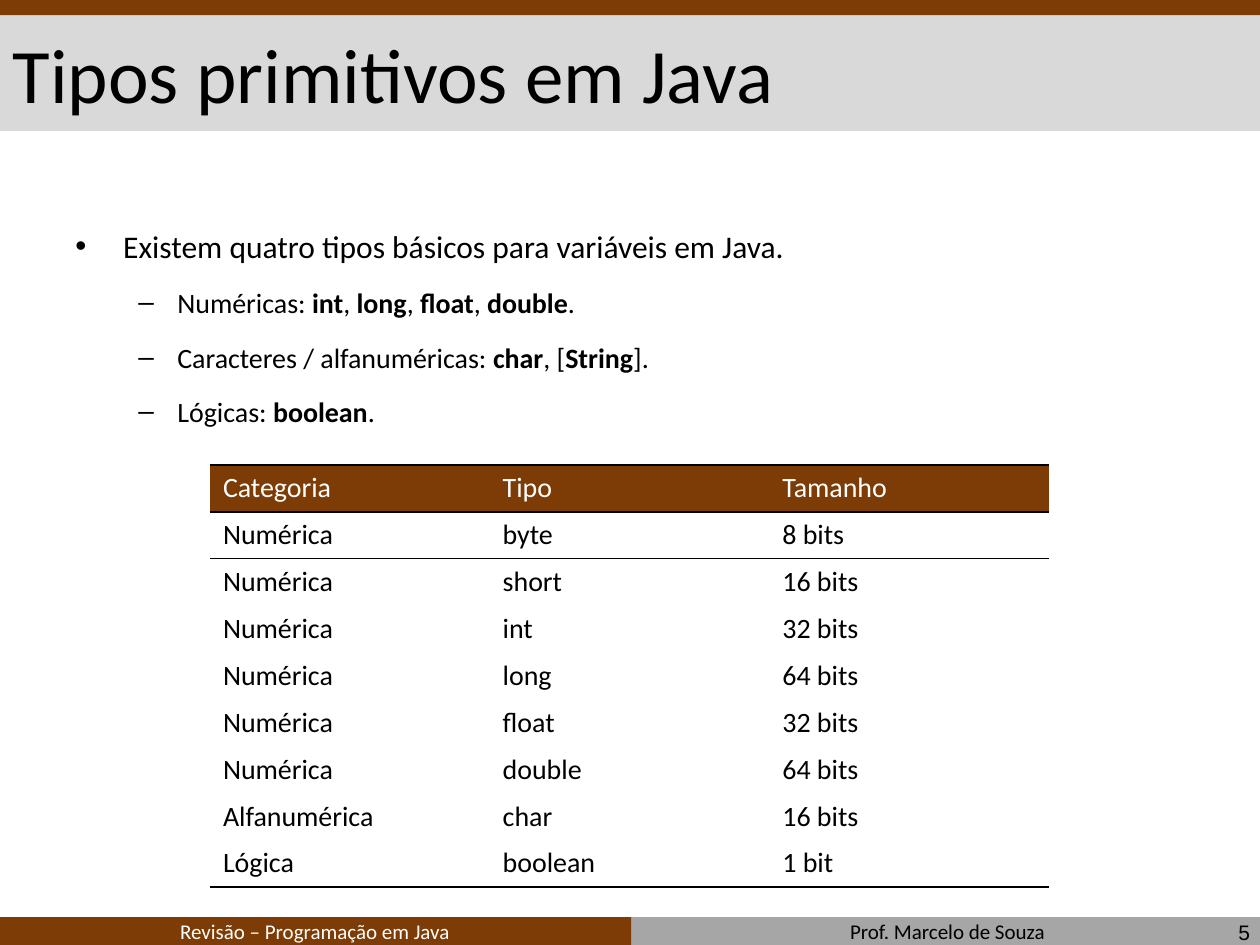
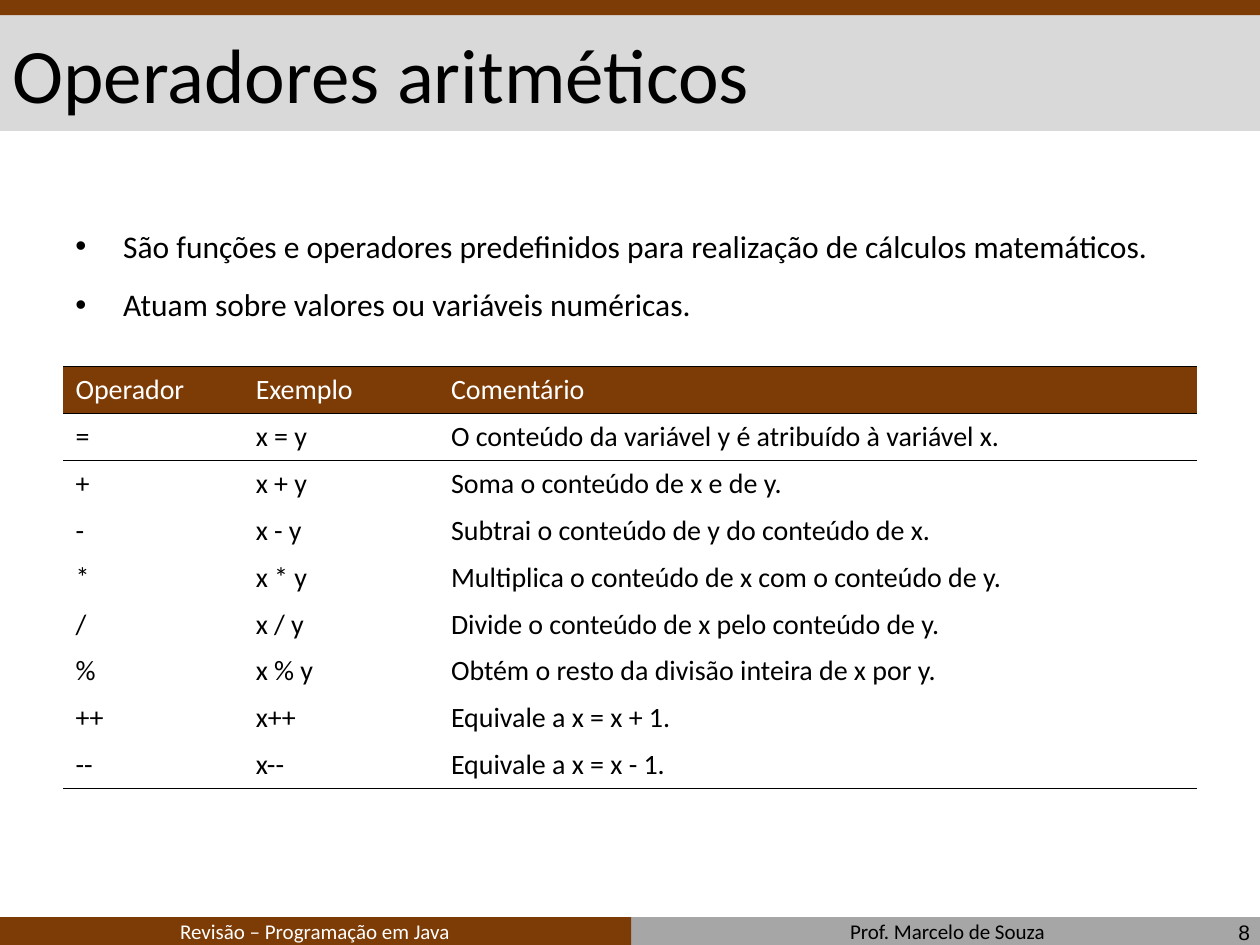
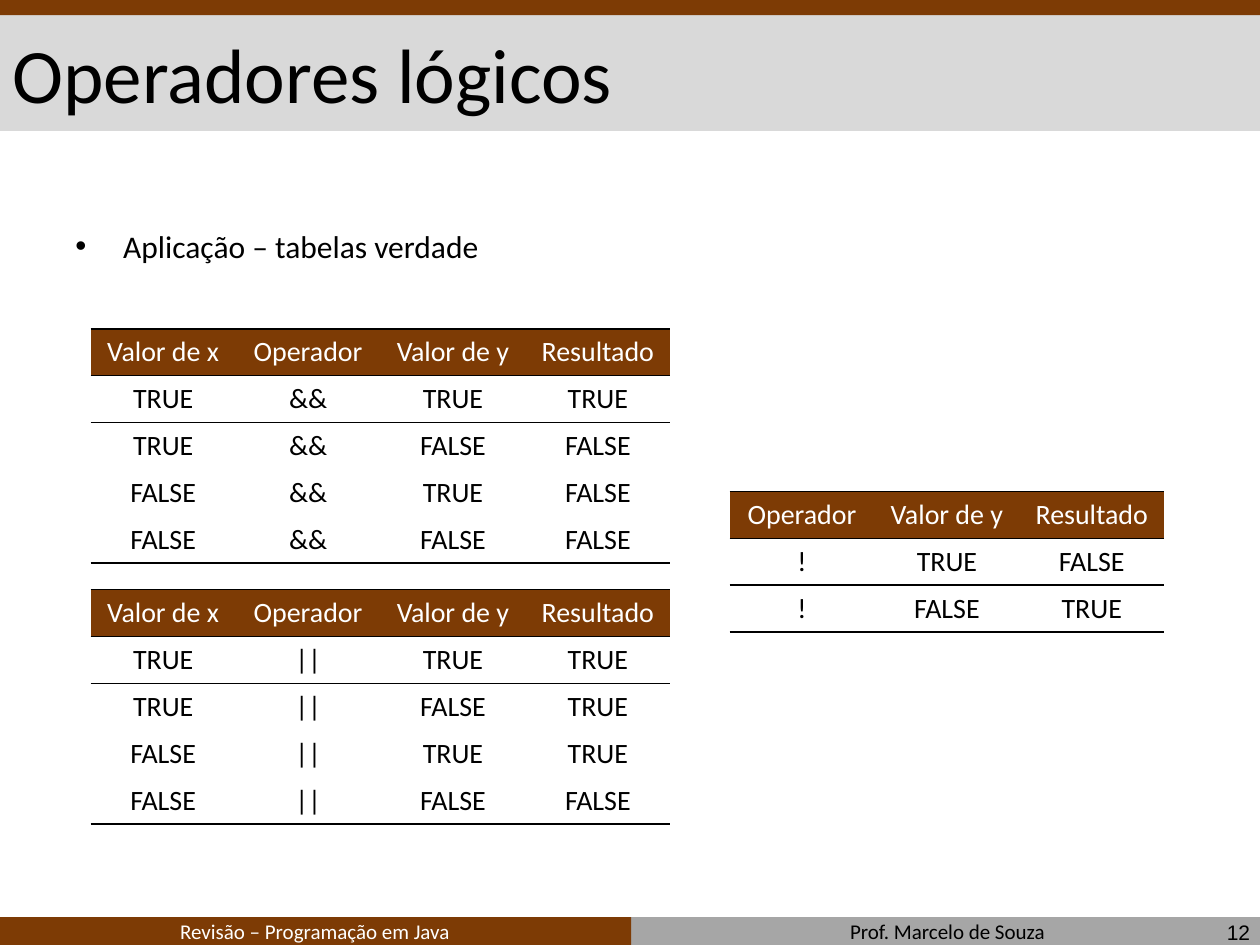
from lxml.etree import SubElement
from pptx import Presentation
from pptx.dml.color import RGBColor
from pptx.enum.shapes import MSO_SHAPE
from pptx.enum.text import MSO_ANCHOR, PP_ALIGN
from pptx.oxml.ns import qn
from pptx.util import Inches, Pt

BROWN = "7D3B05"
GRAY = "A6A6A6"
LIGHT_GRAY = "D9D9D9"
BLACK = "000000"
WHITE = "FFFFFF"
FONT = "Calibri"
ROW_HEIGHT = 0.37
NO_GRID_STYLE = "{2D5ABB26-0587-4C30-8999-92F81FD0307C}"

BANDS = [
    ((5, 7.28, 5.01, 0.24), GRAY),
    ((0, 7.28, 5.01, 0.24), BROWN),
    ((0, 0.11, 10, 0.93), LIGHT_GRAY),
    ((0, 0, 10.03, 0.12), BROWN),
]
TITLE_BOX = (0, 0.12, 10, 0.91)
BODY_BOX = (0.5, 1.75, 9, 5.25)

# Per bullet level: character, text size, left margin, hanging indent
BULLET_LEVELS = [("•", 18, 0.38, 0.38), ("–", 16, 0.81, 0.31)]

TYPE_ROWS = [
    ("Categoria", "Tipo", "Tamanho"),
    ("Numérica", "byte", "8 bits"),
    ("Numérica", "short", "16 bits"),
    ("Numérica", "int", "32 bits"),
    ("Numérica", "long", "64 bits"),
    ("Numérica", "float", "32 bits"),
    ("Numérica", "double", "64 bits"),
    ("Alfanumérica", "char", "16 bits"),
    ("Lógica", "boolean", "1 bit"),
]
ARITHMETIC_ROWS = [
    ("Operador", "Exemplo", "Comentário"),
    ("=", "x = y", "O conteúdo da variável y é atribuído à variável x."),
    ("+", "x + y", "Soma o conteúdo de x e de y."),
    ("-", "x - y", "Subtrai o conteúdo de y do conteúdo de x."),
    ("*", "x * y", "Multiplica o conteúdo de x com o conteúdo de y."),
    ("/", "x / y", "Divide o conteúdo de x pelo conteúdo de y."),
    ("%", "x % y", "Obtém o resto da divisão inteira de x por y."),
    ("++", "x++", "Equivale a x = x + 1."),
    ("--", "x--", "Equivale a x = x - 1."),
]
NOT_ROWS = [
    ("Operador", "Valor de y", "Resultado"),
    ("!", "TRUE", "FALSE"),
    ("!", "FALSE", "TRUE"),
]


def color(hex_string):
    return RGBColor.from_string(hex_string)


def inches(box):
    return [Inches(length) for length in box]


def format_runs(paragraph, size, hex_color, font_name=FONT):
    for run in paragraph.runs:
        run.font.size = Pt(size)
        run.font.name = font_name
        run.font.color.rgb = color(hex_color)


def add_band(slide, box, hex_color):
    band = slide.shapes.add_shape(MSO_SHAPE.RECTANGLE, *inches(box))
    band.shadow.inherit = False
    band.fill.solid()
    band.fill.fore_color.rgb = color(hex_color)
    band.line.fill.background()


def add_label(slide, box, text, hex_color, alignment, anchor, font_name=FONT):
    text_frame = slide.shapes.add_textbox(*inches(box)).text_frame
    text_frame.word_wrap = True
    text_frame.vertical_anchor = anchor
    text_frame.text = text
    paragraph = text_frame.paragraphs[0]
    paragraph.alignment = alignment
    format_runs(paragraph, 12, hex_color, font_name)


def add_footer(slide, number):
    add_label(slide, (5.01, 7.24, 5.02, 0.3), "Prof. Marcelo de Souza",
              BLACK, PP_ALIGN.CENTER, MSO_ANCHOR.BOTTOM)
    add_label(slide, (0, 7.24, 5, 0.3), "Revisão – Programação em Java",
              WHITE, PP_ALIGN.CENTER, MSO_ANCHOR.BOTTOM)
    add_label(slide, (7.69, 7.23, 2.33, 0.33), str(number),
              BLACK, PP_ALIGN.RIGHT, MSO_ANCHOR.MIDDLE, "Arial")


def set_title(slide, text):
    """Fill the title placeholder and bring it in front of the bands."""
    title = slide.shapes.title
    title.left, title.top, title.width, title.height = inches(TITLE_BOX)
    title.text_frame.text = text
    title.text_frame.vertical_anchor = MSO_ANCHOR.MIDDLE
    paragraph = title.text_frame.paragraphs[0]
    paragraph.alignment = PP_ALIGN.LEFT
    format_runs(paragraph, 44, BLACK)
    slide.shapes.element.append(title.element)


def set_bullet(paragraph, character, margin, hanging):
    properties = paragraph._p.get_or_add_pPr()
    properties.set("marL", str(Inches(margin)))
    properties.set("indent", str(-Inches(hanging)))
    SubElement(properties, qn("a:buFont"), typeface="Arial")
    SubElement(properties, qn("a:buChar"), char=character)


def add_bullets(slide, box, bullets):
    """Write (level, text) bullets; text between ** marks is bold."""
    text_frame = slide.shapes.add_textbox(*inches(box)).text_frame
    text_frame.word_wrap = True
    for index, (level, text) in enumerate(bullets):
        paragraph = text_frame.add_paragraph() if index else text_frame.paragraphs[0]
        character, size, margin, hanging = BULLET_LEVELS[level]
        paragraph.level = level
        paragraph.alignment = PP_ALIGN.JUSTIFY
        paragraph.space_before = Pt(12)
        set_bullet(paragraph, character, margin, hanging)
        for part, words in enumerate(text.split("**")):
            run = paragraph.add_run()
            run.text = words
            run.font.bold = part % 2 == 1
        format_runs(paragraph, size, BLACK)


def add_border(cell, side):
    properties = cell._tc.get_or_add_tcPr()
    line = SubElement(properties, qn(f"a:{side}"), w=str(Pt(1)))
    fill = SubElement(line, qn("a:solidFill"))
    SubElement(fill, qn("a:srgbClr"), val=BLACK)


def add_ruled_table(slide, left, top, column_widths, rows, centered=False):
    """Add a table with a brown header and rules around it, under row one and at the end."""
    frame = slide.shapes.add_table(
        len(rows), len(column_widths),
        *inches((left, top, sum(column_widths), ROW_HEIGHT * len(rows))))
    for style in frame.element.iter(qn("a:tableStyleId")):
        style.text = NO_GRID_STYLE
    table = frame.table
    table.horz_banding = False
    for column, width in zip(table.columns, column_widths):
        column.width = Inches(width)
    for row_index, values in enumerate(rows):
        is_header = row_index == 0
        table.rows[row_index].height = Inches(ROW_HEIGHT)
        for column_index, value in enumerate(values):
            cell = table.cell(row_index, column_index)
            cell.text_frame.text = value
            paragraph = cell.text_frame.paragraphs[0]
            format_runs(paragraph, 16, WHITE if is_header else BLACK)
            if centered:
                paragraph.alignment = PP_ALIGN.CENTER
                cell.vertical_anchor = MSO_ANCHOR.MIDDLE
            if is_header:
                add_border(cell, "lnT")
            if row_index in (0, 1, len(rows) - 1):
                add_border(cell, "lnB")
            if is_header:
                cell.fill.solid()
                cell.fill.fore_color.rgb = color(BROWN)
            else:
                cell.fill.background()


def truth_rows(operator, results):
    operands = [("TRUE", "TRUE"), ("TRUE", "FALSE"), ("FALSE", "TRUE"), ("FALSE", "FALSE")]
    header = ("Valor de x", "Operador", "Valor de y", "Resultado")
    return [header] + [(x, operator, y, result) for (x, y), result in zip(operands, results)]


def add_content_slide(presentation, title, number, bullets):
    slide = presentation.slides.add_slide(presentation.slide_layouts[5])
    for box, hex_color in BANDS:
        add_band(slide, box, hex_color)
    add_footer(slide, number)
    add_bullets(slide, BODY_BOX, bullets)
    set_title(slide, title)
    return slide


def add_types_slide(presentation):
    slide = add_content_slide(presentation, "Tipos primitivos em Java", 5, [
        (0, "Existem quatro tipos básicos para variáveis em Java."),
        (1, "Numéricas: **int**, **long**, **float**, **double**."),
        (1, "Caracteres / alfanuméricas: **char**, [**String**]."),
        (1, "Lógicas: **boolean**."),
    ])
    add_ruled_table(slide, 1.67, 3.69, [2.22] * 3, TYPE_ROWS)


def add_arithmetic_slide(presentation):
    slide = add_content_slide(presentation, "Operadores aritméticos", 8, [
        (0, "São funções e operadores predefinidos para realização de cálculos matemáticos."),
        (0, "Atuam sobre valores ou variáveis numéricas."),
    ])
    add_ruled_table(slide, 0.5, 2.91, [1.43, 1.55, 6.02], ARITHMETIC_ROWS)


def add_logic_slide(presentation):
    slide = add_content_slide(presentation, "Operadores lógicos", 12, [
        (0, "Aplicação – tabelas verdade"),
    ])
    and_rows = truth_rows("&&", ["TRUE", "FALSE", "FALSE", "FALSE"])
    or_rows = truth_rows("||", ["TRUE", "TRUE", "TRUE", "FALSE"])
    for left, top, rows in [(0.72, 2.61, and_rows), (0.72, 4.68, or_rows), (5.79, 3.9, NOT_ROWS)]:
        add_ruled_table(slide, left, top, [1.15] * len(rows[0]), rows, centered=True)


def main():
    presentation = Presentation()
    presentation.slide_width = Inches(10)
    presentation.slide_height = Inches(7.5)
    add_types_slide(presentation)
    add_arithmetic_slide(presentation)
    add_logic_slide(presentation)
    presentation.save("out.pptx")


if __name__ == "__main__":
    main()
